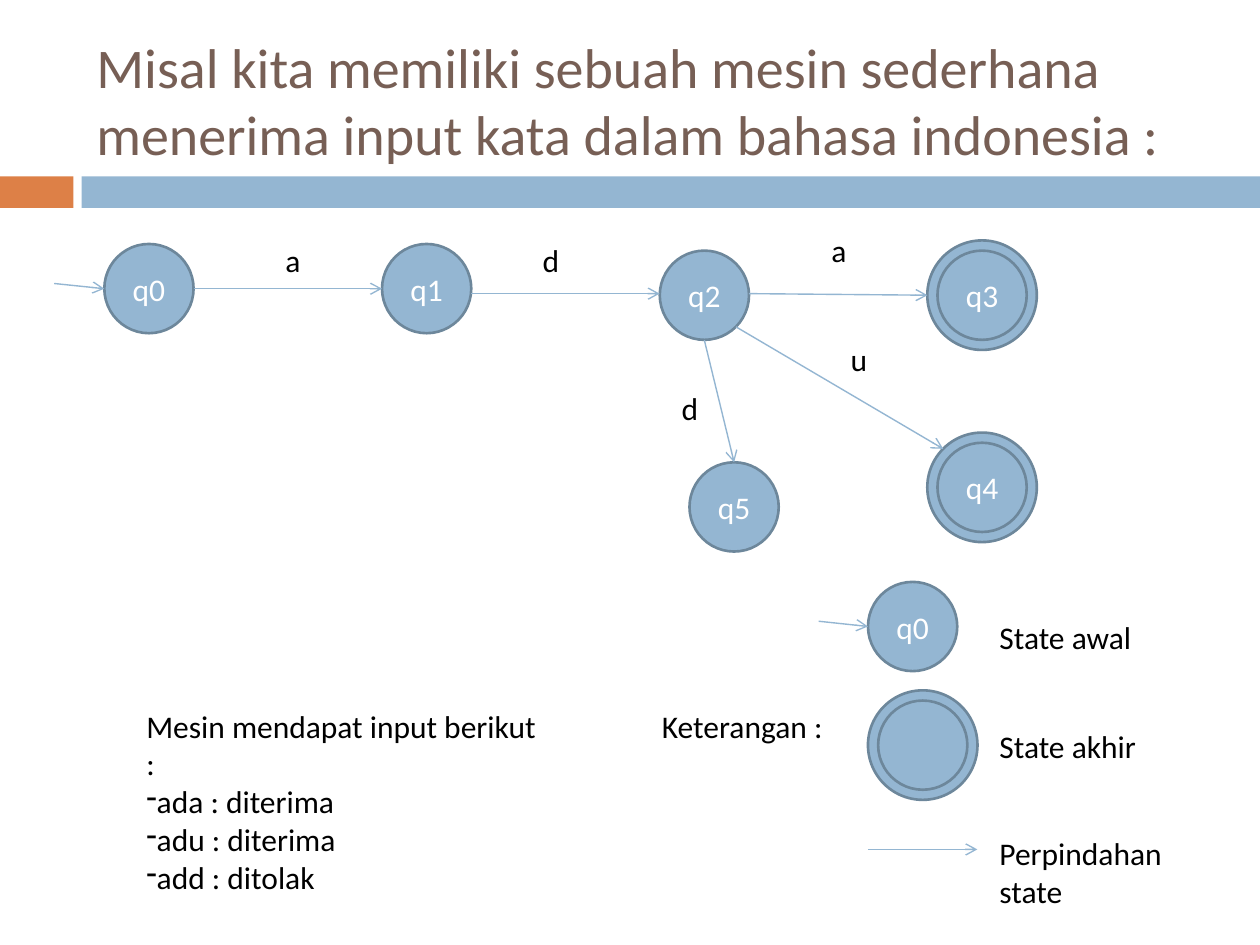
from lxml.etree import SubElement
from pptx import Presentation
from pptx.dml.color import RGBColor
from pptx.enum.shapes import MSO_CONNECTOR, MSO_SHAPE
from pptx.enum.text import MSO_ANCHOR, PP_ALIGN
from pptx.oxml.ns import qn
from pptx.util import Pt

COLORS = {
    "blue": "94B6D2",
    "edge": "6D879B",
    "orange": "DD8047",
    "brown": "775F55",
    "black": "000000",
    "white": "FFFFFF",
}


class Board:
    font = "Calibri"
    size = 18
    node = 51  # diameter of a state
    gap = 5.8  # from a state to its outer ring

    def __init__(self, slide):
        self.slide = slide

    def color(self, name):
        return RGBColor.from_string(COLORS[name])

    def add_words(self, para, words, size, color):
        run = para.add_run()
        run.text = words
        run.font.name = self.font
        run.font.size = Pt(size)
        run.font.color.rgb = self.color(color)

    def shape(self, kind, x, y, w, h, fill, edge=None):
        shape = self.slide.shapes.add_shape(kind, Pt(x), Pt(y), Pt(w), Pt(h))
        shape.shadow.inherit = False
        shape.fill.solid()
        shape.fill.fore_color.rgb = self.color(fill)
        if edge:
            shape.line.color.rgb = self.color(edge)
            shape.line.width = Pt(1.5)
        else:
            shape.line.fill.background()
        return shape

    def bar(self, x, w, fill):
        self.shape(MSO_SHAPE.RECTANGLE, x, 100.8, w, 18, fill)

    def disc(self, x, y, size):
        return self.shape(MSO_SHAPE.OVAL, x, y, size, size, "blue", "edge")

    def state(self, x, y, name="", final=False):
        if final:
            self.disc(x - self.gap, y - self.gap, self.node + 2 * self.gap)
        disc = self.disc(x, y, self.node)
        if name:
            frame = disc.text_frame
            frame.margin_left = frame.margin_right = 0
            frame.vertical_anchor = MSO_ANCHOR.MIDDLE
            para = frame.paragraphs[0]
            para.alignment = PP_ALIGN.CENTER
            self.add_words(para, name, self.size, "white")

    def arrow(self, x1, y1, x2, y2):
        line = self.slide.shapes.add_connector(
            MSO_CONNECTOR.STRAIGHT, Pt(x1), Pt(y1), Pt(x2), Pt(y2))
        line.line.color.rgb = self.color("blue")
        line.line.width = Pt(0.79)
        props = line._element.spPr
        SubElement(props.find(qn("a:ln")), qn("a:tailEnd"), type="arrow")
        SubElement(props, qn("a:effectLst"))

    def text(self, x, y, w, h, words, size=size, color="black",
             anchor=MSO_ANCHOR.TOP, items=()):
        box = self.slide.shapes.add_textbox(Pt(x), Pt(y), Pt(w), Pt(h))
        frame = box.text_frame
        frame.word_wrap = True
        frame.vertical_anchor = anchor
        self.add_words(frame.paragraphs[0], words, size, color)
        for item in items:
            para = frame.add_paragraph()
            props = para._p.get_or_add_pPr()
            props.set("marL", "0")
            props.set("indent", "0")
            SubElement(props, qn("a:buChar"), char="-")
            self.add_words(para, item, size, color)


def main():
    deck = Presentation()
    deck.slide_width, deck.slide_height = Pt(720), Pt(540)
    board = Board(deck.slides.add_slide(deck.slide_layouts[6]))

    # Title and band
    board.bar(0, 42, "orange")
    board.bar(46.6, 673.4, "blue")
    board.text(48, 18, 642, 78,
               "Misal kita memiliki sebuah mesin sederhana "
               "menerima input kata dalam bahasa indonesia :",
               32, "brown", MSO_ANCHOR.MIDDLE)

    # States: the top row is evenly spaced
    left, step = 59.6, 158.7
    for i, y in enumerate((139.4, 139.4, 143.2, 143.2)):
        board.state(left + i * step, y, f"q{i}", final=i == 3)
    board.state(left + 3 * step, 253, "q4", final=True)
    board.state(394, 264.2, "q5")

    # Moves between states
    for ends in (
        (31, 162, 59.6, 165),
        (110.6, 165, 218.3, 165),
        (269.3, 167.8, 377, 167.8),
        (428, 167.8, 530, 168.7),
        (402.5, 194.4, 419.5, 264.2),
        (420.6, 186.8, 539, 256.5),
    ):
        board.arrow(*ends)
    for x, y, sign in (
        (156, 134, "a"),
        (303, 134, "d"),
        (468, 128.5, "a"),
        (479, 190.8, "u"),
        (382.4, 218.8, "d"),
    ):
        board.text(x, y, 24.5, 29, sign)

    # Inputs
    board.text(76.5, 400.3, 239, 94.5, "Mesin mendapat input berikut :",
               items=("ada : diterima", "adu : diterima", "add : ditolak"))

    # Legend
    board.text(371.2, 400.3, 113, 29, "Keterangan :")
    board.state(496, 332.5, "q0")
    board.arrow(467.8, 355, 496, 358)
    board.state(501.8, 400.3, final=True)
    board.arrow(496, 485.4, 558.5, 485.4)
    for y, w, words in (
        (349.4, 95, "State awal"),
        (411.7, 95, "State akhir"),
        (473.2, 140, "Perpindahan state"),
    ):
        board.text(564, y, w, 29, words)

    deck.save("out.pptx")


if __name__ == "__main__":
    main()
